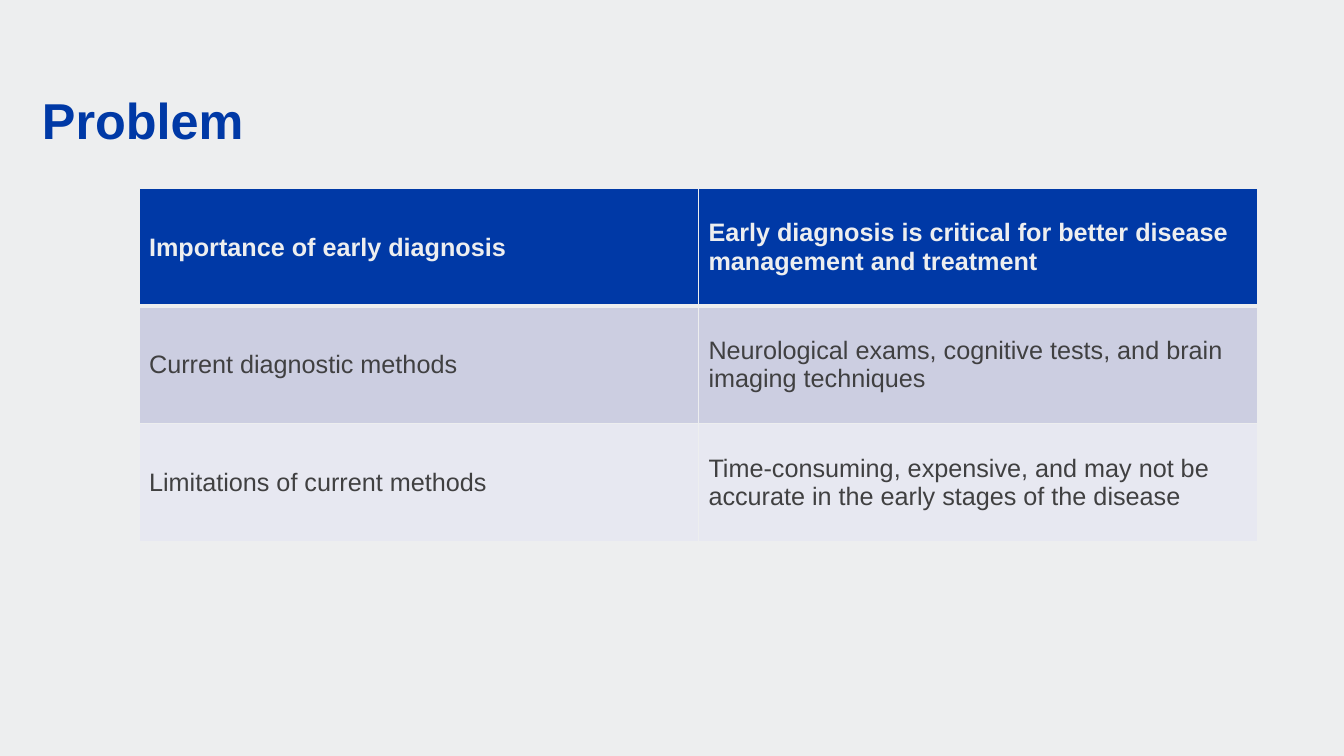
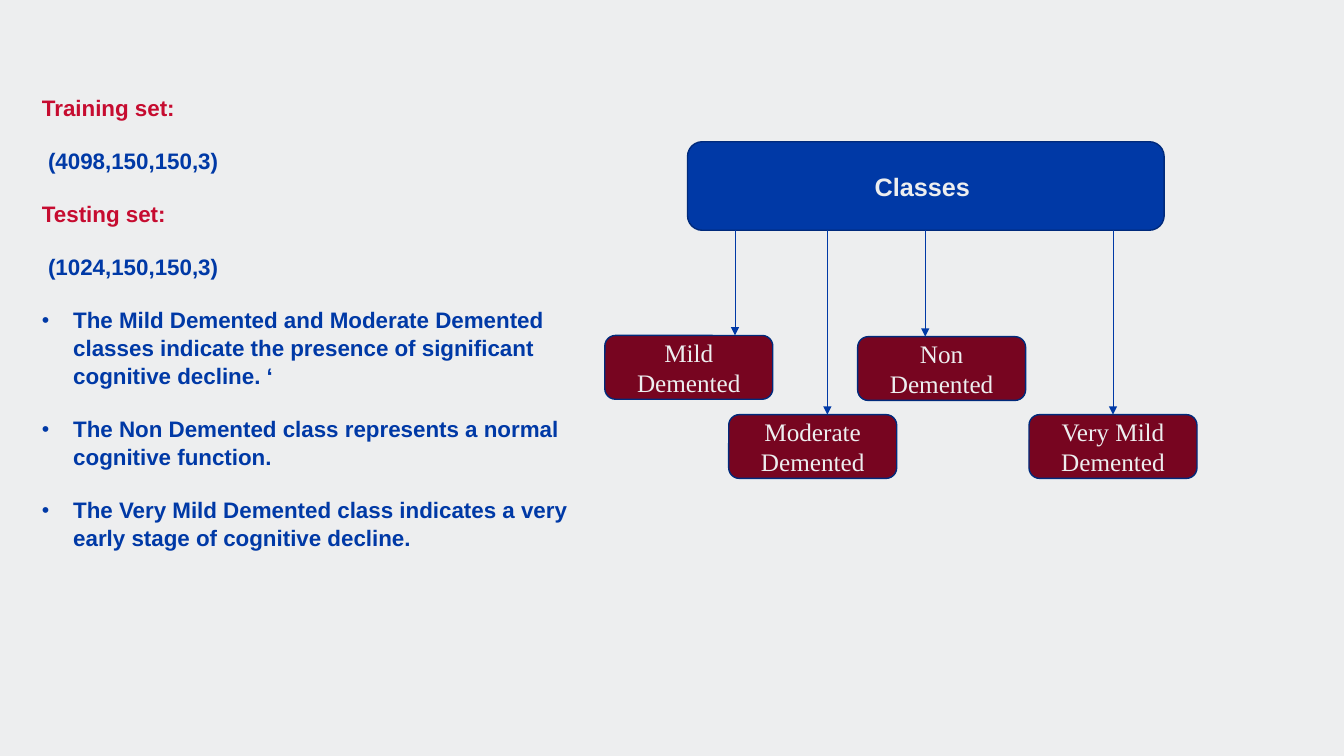
import pptx
import pptx.util
import pptx.dml.color
import pptx.enum.shapes
import pptx.enum.text
import pptx.oxml
import pptx.oxml.ns

RGBColor = pptx.dml.color.RGBColor
Pt = pptx.util.Pt
MSO_SHAPE = pptx.enum.shapes.MSO_SHAPE
ANCHOR = pptx.enum.text.MSO_ANCHOR
ALIGN = pptx.enum.text.PP_ALIGN

BLUE = RGBColor(0x00, 0x39, 0xA6)
NAVY = RGBColor(0x00, 0x2A, 0x7B)
RED = RGBColor(0xC6, 0x0C, 0x30)
MAROON = RGBColor(0x77, 0x05, 0x20)
PALE = RGBColor(0xED, 0xEE, 0xEF)
GREY = RGBColor(0x40, 0x40, 0x41)
BAND_DARK = RGBColor(0xCC, 0xCE, 0xE1)
BAND_LIGHT = RGBColor(0xE7, 0xE8, 0xF1)

prs = pptx.Presentation()
prs.slide_width = pptx.util.Inches(13.333)
prs.slide_height = pptx.util.Inches(7.5)

# Grid of 32 columns by 32 rows
COL = prs.slide_width / 32
ROW = prs.slide_height / 32
FRAME = {"margin_left": 0, "margin_top": 0, "margin_right": 0, "margin_bottom": 0,
         "word_wrap": True, "auto_size": pptx.enum.text.MSO_AUTO_SIZE.NONE}


def grid(left, top, width, height):
    return [round(n) for n in (left * COL, top * ROW, width * COL, height * ROW)]


def style(target, size, color, bold=True, name="Arial"):
    for key, value in {"size": Pt(size), "bold": bold, "name": name}.items():
        setattr(target.font, key, value)
    target.font.color.rgb = color


# Shared background
fill = prs.slide_master.background.fill
fill.solid()
fill.fore_color.rgb = PALE

# Slide 1: title
s = prs.slides.add_slide(prs.slide_layouts[5])
title = s.shapes.title
title.left, title.top, title.width, title.height = grid(1, 4, 30, 2.35)
tf = title.text_frame
for key, value in {**FRAME, "vertical_anchor": ANCHOR.BOTTOM}.items():
    setattr(tf, key, value)
p = tf.paragraphs[0]
p.alignment = ALIGN.LEFT
p.line_spacing = 0.9
r = p.add_run()
r.text = "Problem"
style(r, 36, BLUE)

# Slide 1: table
rows = [
    ("Importance of early diagnosis",
     "Early diagnosis is critical for better disease management and treatment"),
    ("Current diagnostic methods",
     "Neurological exams, cognitive tests, and brain imaging techniques"),
    ("Limitations of current methods",
     "Time-consuming, expensive, and may not be accurate in the early stages of the disease"),
]
looks = [(BLUE, PALE, True), (BAND_DARK, GREY, False), (BAND_LIGHT, GREY, False)]
table = s.shapes.add_table(3, 2, *grid(3.31, 7.98, 26.64, 14.94)).table
table.horz_banding = False
for i, (texts, (band, ink, bold)) in enumerate(zip(rows, looks)):
    for j, text in enumerate(texts):
        cell = table.cell(i, j)
        cell.vertical_anchor = ANCHOR.MIDDLE
        for side in "LRTB":
            heavy = (i, side) in ((0, "B"), (1, "T"))
            cell._tc.get_or_add_tcPr().append(pptx.oxml.parse_xml(
                f'<a:ln{side} {pptx.oxml.ns.nsdecls("a")} w="{Pt(3 if heavy else 1)}">'
                f'<a:solidFill><a:srgbClr val="{PALE}"/></a:solidFill></a:ln{side}>'))
        cell.fill.solid()
        cell.fill.fore_color.rgb = band
        r = cell.text_frame.paragraphs[0].add_run()
        r.text = text
        style(r, 18, ink, bold)

# Slide 2: data set sizes and class notes
s = prs.slides.add_slide(prs.slide_layouts[1])
s.shapes.title._element.getparent().remove(s.shapes.title._element)
body = s.placeholders[1]
body.left, body.top, body.width, body.height = grid(1, 3.93, 13.7, 23.13)
tf = body.text_frame
for key, value in FRAME.items():
    setattr(tf, key, value)
HANG = pptx.util.Inches(0.31)
SMALL = pptx.util.Inches(0.06)
notes = [
    ("Training set:", RED, 0, False),
    ("(4098,150,150,3)", BLUE, SMALL, False),
    ("Testing set:", RED, 0, False),
    ("(1024,150,150,3)", BLUE, SMALL, False),
    ("The Mild Demented and Moderate Demented classes indicate the presence of "
     "significant cognitive decline. ‘", BLUE, HANG, True),
    ("The Non Demented class represents a normal cognitive function.", BLUE, HANG, True),
    ("The Very Mild Demented class indicates a very early stage of cognitive decline.",
     BLUE, HANG, True),
]
for i, (text, ink, indent, bullet) in enumerate(notes):
    p = tf.add_paragraph() if i else tf.paragraphs[0]
    p.space_before = Pt(18 if i else 0)
    p.line_spacing = 1.04
    pPr = p._p.get_or_add_pPr()
    pPr.set("marL", str(indent))
    pPr.set("indent", str(-indent if bullet else 0))
    marks = ['buSzPct val="95000"', 'buChar char="•"'] if bullet else ["buNone"]
    for mark in marks:
        pPr.append(pptx.oxml.parse_xml(f'<a:{mark} {pptx.oxml.ns.nsdecls("a")}/>'))
    r = p.add_run()
    r.text = text
    style(r, 16, ink)

# Slide 2: class boxes, each with the column its arrow comes down
TOP, BOTTOM = 6, 9.75
boxes = [
    ("Classes ", (16.37, TOP, 11.35, BOTTOM - TOP), BLUE, True, "Arial", None),
    ("Mild Demented", (14.4, 14.2, 4, 2.7), MAROON, False, "Times New Roman", 17.5),
    ("Moderate Demented", (17.35, 17.55, 4, 2.7), MAROON, False, "Times New Roman", 19.7),
    ("Non Demented", (20.42, 14.25, 4, 2.7), MAROON, False, "Times New Roman", 22.03),
    ("Very Mild Demented", (24.5, 17.55, 4, 2.7), MAROON, False, "Times New Roman", 26.5),
]
for text, place, color, bold, name, arrow in boxes:
    sp = s.shapes.add_shape(MSO_SHAPE.ROUNDED_RECTANGLE, *grid(*place))
    sp.shadow.inherit = False
    sp.fill.solid()
    sp.fill.fore_color.rgb = color
    sp.line.color.rgb = NAVY
    sp.line.width = Pt(1)
    tf = sp.text_frame
    tf.word_wrap = True
    tf.vertical_anchor = ANCHOR.MIDDLE
    p = tf.paragraphs[0]
    p.alignment = ALIGN.CENTER
    r = p.add_run()
    r.text = text
    style(r, 18, PALE, bold, name)
    if arrow is None:
        continue

    # Arrow down from the Classes box
    left, top, width, height = place
    x = round(arrow * COL)
    line = s.shapes.add_connector(pptx.enum.shapes.MSO_CONNECTOR.STRAIGHT,
                                  x, round(BOTTOM * ROW), x, round(top * ROW))
    if arrow == left + width / 2:
        line.end_connect(sp, 0)
    line.line.color.rgb = BLUE
    line.line.width = Pt(0.5)
    line.line._get_or_add_ln().append(pptx.oxml.parse_xml(
        f'<a:tailEnd {pptx.oxml.ns.nsdecls("a")} type="triangle"/>'))
    line._element.spPr.append(pptx.oxml.parse_xml(
        f'<a:effectLst {pptx.oxml.ns.nsdecls("a")}/>'))

prs.save("out.pptx")
